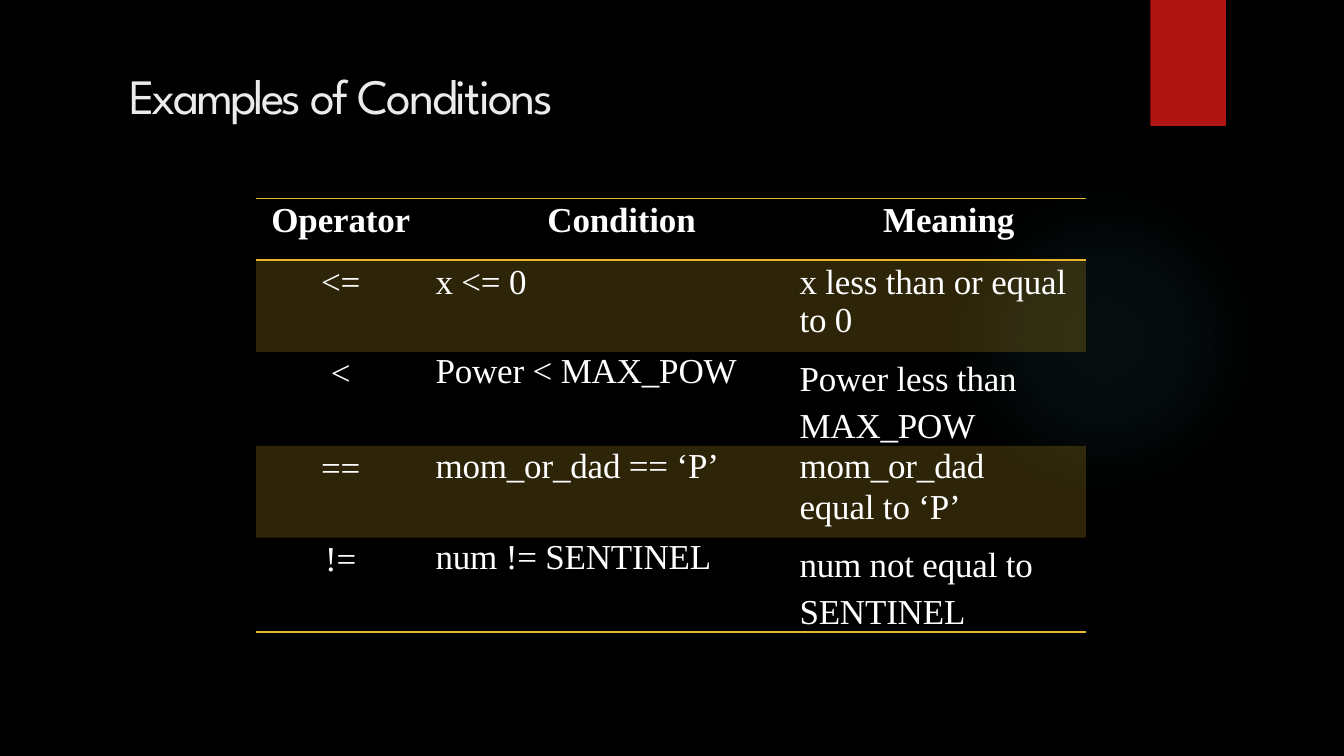
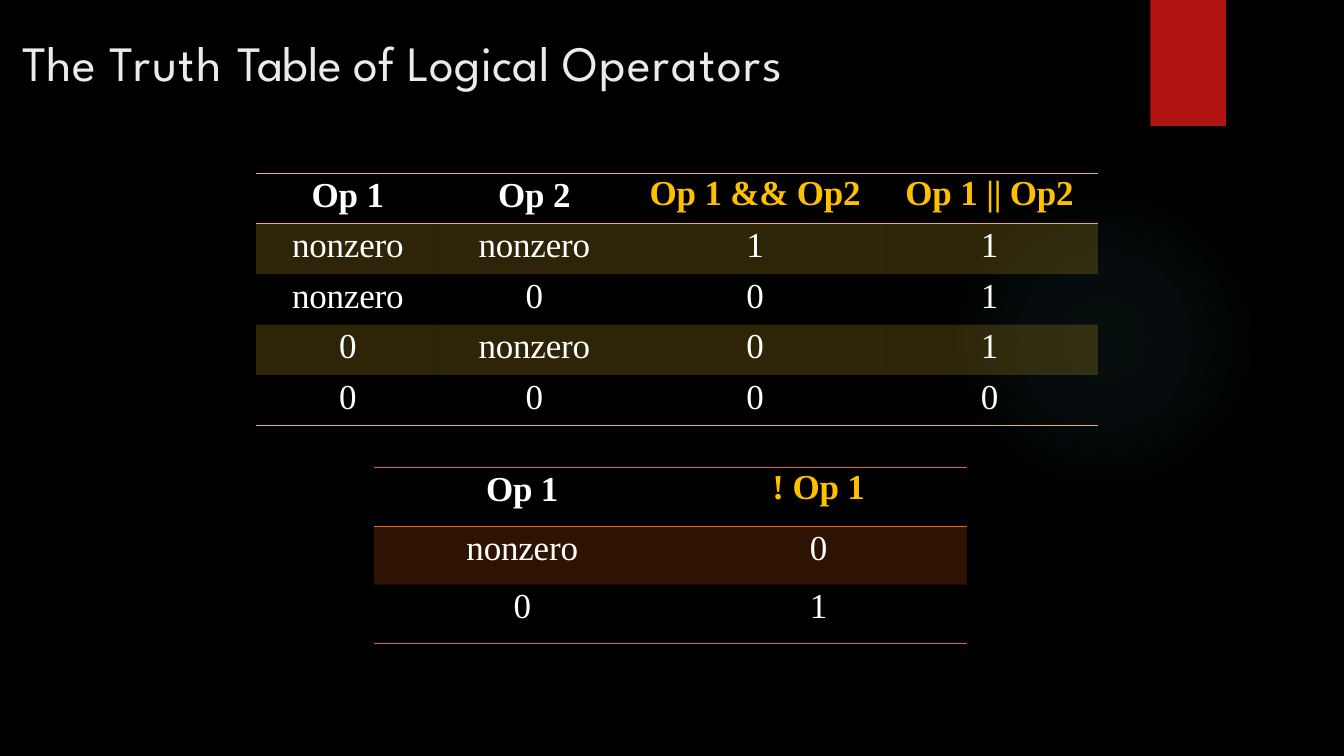
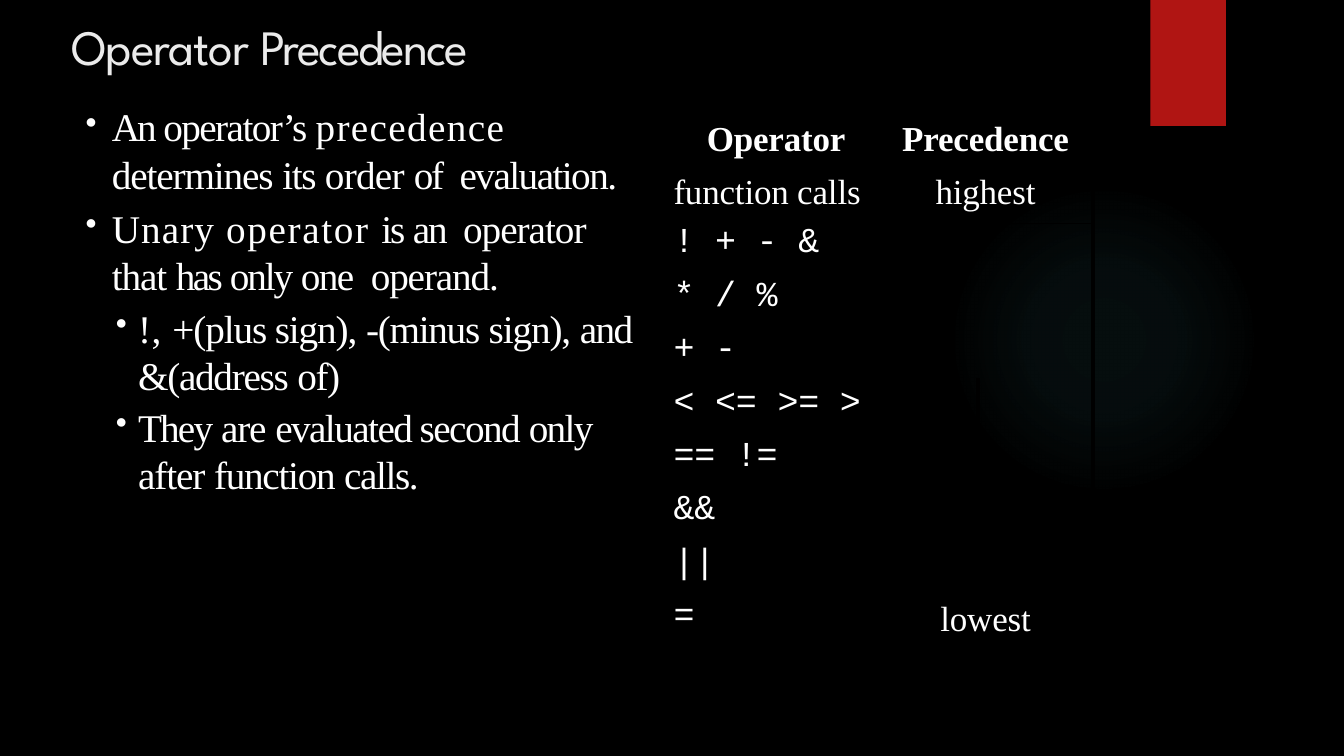
"""Builds three dark slides on conditions, logical operators and operator precedence."""
from dataclasses import dataclass

from pptx import Presentation
from pptx.dml.color import RGBColor
from pptx.enum.shapes import MSO_CONNECTOR, MSO_SHAPE
from pptx.enum.text import MSO_AUTO_SIZE, PP_ALIGN
from pptx.oxml import parse_xml
from pptx.oxml.ns import nsdecls, qn
from pptx.oxml.xmlchemy import OxmlElement
from pptx.util import Inches, Pt


@dataclass(frozen=True)
class Theme:
    black: str = "000000"
    white: str = "FFFFFF"
    title: str = "EBEBEB"
    ribbon: str = "B01513"
    glow: str = "50B9C1"
    gold: str = "E6B729"
    orange: str = "EA6312"
    highlight: str = "FFC000"
    title_font: str = "League Spartan"
    body_font: str = "Times New Roman"
    code_font: str = "Courier New"
    title_size: float = 35.3
    body_size: float = 28
    table_size: float = 25


@dataclass(frozen=True)
class Look:
    indent: float | None = None
    top: float = 0.03
    before: float = 2.5
    next_before: float = 0
    line: float | None = None
    bold: bool = False
    color: str = Theme.white
    font: str = Theme.body_font


THEME = Theme()
NO_STYLE = "{2D5ABB26-0587-4C30-8999-92F81FD0307C}"
LOOKS = {
    "head": Look(bold=True),
    "key": Look(top=0.01, before=0.8, bold=True, color=THEME.highlight),
    "head condition": Look(1.21, bold=True),
    "head meaning": Look(0.93, bold=True),
    "head operator": Look(0.43, bold=True),
    "mid": Look(),
    "left": Look(0.1),
    "high": Look(0.1, 0.01, 0.9, 1.7),
    "loose": Look(0.1, 0.01, 0.9, 0, 33.3),
    "code": Look(0.1, 0, 0.2, font=THEME.code_font),
}


def same(look, *texts):
    return [(look, text) for text in texts]


CONDITIONS = dict(
    at=(2.54, 1.97), columns=[1.68, 3.61, 2.94], rows=[0.61] + [0.91] * 4, accent=THEME.gold,
    cells=[
        [("head", "Operator"), ("head condition", "Condition"), ("head meaning", "Meaning")],
        [("mid", "<="), ("left", "x <= 0"), ("left", "x less than or equal  to 0")],
        [("mid", "<"), ("high", "Power < MAX_POW"), ("loose", "Power less than", "MAX_POW")],
        [("mid", "=="), ("high", "mom_or_dad == ‘P’"), ("high", "mom_or_dad", "equal to ‘P’")],
        [("mid", "!="), ("high", "num != SENTINEL"), ("loose", "num not equal to", "SENTINEL")],
    ])
AND_OR = dict(
    at=(2.54, 1.72), columns=[1.82, 1.88, 2.5, 2.15], rows=[0.5] * 5, accent=THEME.gold,
    cells=[
        same("head", "Op 1", "Op 2") + same("key", "Op 1 && Op2", "Op 1 || Op2"),
        same("mid", "nonzero", "nonzero", "1", "1"),
        same("mid", "nonzero", "0", "0", "1"),
        same("mid", "0", "nonzero", "0", "1"),
        same("mid", "0", "0", "0", "0"),
    ])
NEGATION = dict(
    at=(3.71, 4.64), columns=[2.94] * 2, rows=[0.58] * 3, accent=THEME.orange,
    cells=[
        [("head", "Op 1"), ("key", "! Op 1")],
        same("mid", "nonzero", "0"),
        same("mid", "0", "1"),
    ])
CODE_ROWS = ["! + - &", "* / %", "+ -", "< <= >= >", "== !=", "&&", "||"]
PRECEDENCE = dict(
    at=(6.58, 1.16), columns=[2.13] * 2, rows=[0.53] * 10, merge=((2, 1), (8, 1)),
    cells=[
        [("head operator", "Operator"), ("head", "Precedence")],
        [("left", "function calls"), ("mid", "highest")],
        *[[("code", code), ("mid",)] for code in CODE_ROWS],
        [("code", "="), ("mid", "lowest")],
    ])
BULLETS = [
    (0, 0.8, [("An ", -2.2), ("operator’s ", -1.1), ("precedence ", 1), ("determines ", -0.8),
              ("its ", -1), ("order ", -0.5), ("of  ", -1.5), ("evaluation.", -1.1)]),
    (0, 5.3, [("Unary ", 0.8), ("operator ", 1.2), ("is ", -1.6), ("an  ", -1.5),
              ("operator ", -0.7), ("that ", -0.8), ("has ", -1.9), ("only ", -1.5),
              ("one  ", -1.1), ("operand.", -0.8)]),
    (1, 4.2, [("!, ", 0.4), ("+(plus sign), ", -0.8), ("-(minus ", -0.9), ("sign), ", -0.8),
              ("and ", -1.2), ("&(address ", -0.9), ("of)", -1)]),
    (1, 3.4, [("They ", -1.3), ("are ", -0.8), ("evaluated second ", -1.1), ("only ", -1.2),
              ("after ", -0.8), ("function ", -0.9), ("calls.", -1)]),
]
BULLET_INDENTS = [(0.28, -0.26), (0.54, -0.22)]
SLIDES = [
    dict(title_at=(1.27, 0.64, 6.06, 0.61), tables=[CONDITIONS],
         title=[("Examples ", -2.1), ("of ", -2), ("Conditions", -1.5)]),
    dict(title_at=(0.21, 0.31, 10.34, 0.61), tables=[AND_OR, NEGATION],
         title=[("The ", 0.4), ("Truth ", 1.1), ("Table ", -0.3), ("of ", 0.3),
                ("Logical ", 0.1), ("Operators", 1.3)]),
    dict(title_at=(0.7, 0.15, 6.1, 0.61), tables=[PRECEDENCE], bullets=BULLETS,
         bullets_at=(0.83, 1.01, 5.46, 3.95), arrow=(9.7, 3.75, 9.7, 5.76),
         title=[("Operator ", -0.8), ("Precedence", -1.5)]),
]


def inches(values):
    return [Inches(value) for value in values]


def add_span(para, text, size, font, color, spacing, bold=False):
    span = para.add_run()
    span.text = text
    span.font.size = Pt(size)
    span.font.name = font
    span.font.bold = bold
    span.font.color.rgb = RGBColor.from_string(color)
    span.font._element.set("spc", str(round(spacing * 100)))


def indent(para, left, first=0):
    properties = para._p.get_or_add_pPr()
    properties.set("marL", str(Inches(left)))
    properties.set("indent", str(Inches(first)))
    return properties


def add_box(page, at):
    frame = page.shapes.add_textbox(*inches(at)).text_frame
    frame.word_wrap = True
    frame.auto_size = MSO_AUTO_SIZE.SHAPE_TO_FIT_TEXT
    frame.margin_left = frame.margin_right = frame.margin_bottom = 0
    frame.margin_top = Inches(0.01)
    return frame


def next_para(frame, number):
    return frame.add_paragraph() if number else frame.paragraphs[0]


def add_title(page, at, runs):
    para = add_box(page, at).paragraphs[0]
    para.space_before = Pt(0.8)
    indent(para, 0.01)
    for text, spacing in runs:
        add_span(para, text, THEME.title_size, THEME.title_font, THEME.title, spacing)


def add_bullets(page, at, bullets):
    frame = add_box(page, at)
    for number, (level, before, runs) in enumerate(bullets):
        para = next_para(frame, number)
        para.level = level
        para.space_before = Pt(before)
        properties = indent(para, *BULLET_INDENTS[level])
        for tag, name, value in (("a:buSzPct", "val", "84000"), ("a:buChar", "char", "•")):
            mark = OxmlElement(tag)
            mark.set(name, value)
            properties.append(mark)
        for text, spacing in runs:
            add_span(para, text, THEME.body_size, THEME.body_font, THEME.white, spacing)


def add_backdrop(page):
    page.background.fill.solid()
    page.background.fill.fore_color.rgb = RGBColor.from_string(THEME.black)
    glow = page.shapes.add_shape(MSO_SHAPE.OVAL, *inches((9.41, 1.83, 3.08, 3.08)))
    stops = "".join(
        f'<a:gs pos="{place}000"><a:srgbClr val="{THEME.glow}">'
        f'<a:alpha val="{alpha}000"/></a:srgbClr></a:gs>'
        for place, alpha in ((0, 7), (36, 6), (69, 0)))
    glow._element.spPr.insert(2, parse_xml(
        f'<a:gradFill {nsdecls("a")}><a:gsLst>{stops}</a:gsLst><a:path path="circle">'
        '<a:fillToRect l="50000" t="50000" r="50000" b="50000"/></a:path></a:gradFill>'))
    ribbon = page.shapes.add_shape(MSO_SHAPE.RECTANGLE, *inches((11.41, 0, 0.75, 1.25)))
    ribbon.fill.solid()
    ribbon.fill.fore_color.rgb = RGBColor.from_string(THEME.ribbon)
    for shape in (glow, ribbon):
        shape.line.fill.background()
        shape.shadow.inherit = False


def set_borders(cell, borders):
    properties = cell._tc.get_or_add_tcPr()
    for place, side in enumerate("LRTB"):
        color, width = borders.get(side, (None, 0))
        paint = f'<a:solidFill><a:srgbClr val="{color}"/></a:solidFill>' if color else "<a:noFill/>"
        properties.insert(place, parse_xml(
            f'<a:ln{side} {nsdecls("a")} w="{Pt(width)}">{paint}</a:ln{side}>'))


def borders_for(row, column, last_row, accent):
    if accent:
        sides = {0: "TB", last_row: "B"}.get(row, "")
        if row == 1:
            sides += "T"
        return {side: (accent, 1) for side in sides}
    widths = dict(L=1.5 if column else 3, R=3 if column else 1.5,
                  T=1 if row else 3, B=2.25 if row == last_row else 1)
    return {side: (THEME.black, width) for side, width in widths.items()}


def fill_cell(cell, look, lines):
    cell.margin_left = cell.margin_right = cell.margin_bottom = 0
    cell.margin_top = Inches(look.top)
    for number, text in enumerate(lines):
        para = next_para(cell.text_frame, number)
        para.space_before = Pt(look.next_before if number else look.before)
        if look.line:
            para.line_spacing = Pt(look.line)
        if look.indent is None:
            para.alignment = PP_ALIGN.CENTER
        else:
            indent(para, look.indent)
        add_span(para, text, THEME.table_size, look.font, look.color, -0.1, look.bold)


def add_grid(page, at, columns, rows, cells, accent=None, merge=None):
    size = inches((sum(columns), sum(rows)))
    table = page.shapes.add_table(len(rows), len(columns), *inches(at), *size).table
    table.first_row = table.horz_banding = False
    table._tbl.tblPr.find(qn("a:tableStyleId")).text = NO_STYLE
    for column, width in zip(table.columns, columns):
        column.width = Inches(width)
    for row, height in zip(table.rows, rows):
        row.height = Inches(height)
    for row, entries in enumerate(cells):
        for column, (look, *lines) in enumerate(entries):
            cell = table.cell(row, column)
            fill_cell(cell, LOOKS[look], lines)
            if accent and row % 2:
                cell.fill.solid()
                cell.fill.fore_color.rgb = RGBColor.from_string(accent)
                alpha = OxmlElement("a:alpha")
                alpha.set("val", "20000")
                cell._tc.tcPr.find(".//" + qn("a:srgbClr")).append(alpha)
            else:
                cell.fill.background()
            set_borders(cell, borders_for(row, column, len(rows) - 1, accent))
    if merge:
        first, last = merge
        table.cell(*first).merge(table.cell(*last))


def add_arrow(page, ends):
    arrow = page.shapes.add_connector(MSO_CONNECTOR.STRAIGHT, *inches(ends))
    arrow.line.width = Pt(3)
    arrow.line.color.rgb = RGBColor.from_string(THEME.black)
    head = OxmlElement("a:tailEnd")
    head.set("type", "triangle")
    arrow.line._get_or_add_ln().append(head)
    arrow._element.spPr.append(OxmlElement("a:effectLst"))


def main():
    deck = Presentation()
    deck.slide_width, deck.slide_height = inches((13.33, 7.5))
    for content in SLIDES:
        page = deck.slides.add_slide(deck.slide_layouts[6])
        add_backdrop(page)
        add_title(page, content["title_at"], content["title"])
        if "bullets" in content:
            add_bullets(page, content["bullets_at"], content["bullets"])
        for table in content["tables"]:
            add_grid(page, **table)
        if "arrow" in content:
            add_arrow(page, content["arrow"])
    deck.save("out.pptx")


if __name__ == "__main__":
    main()
